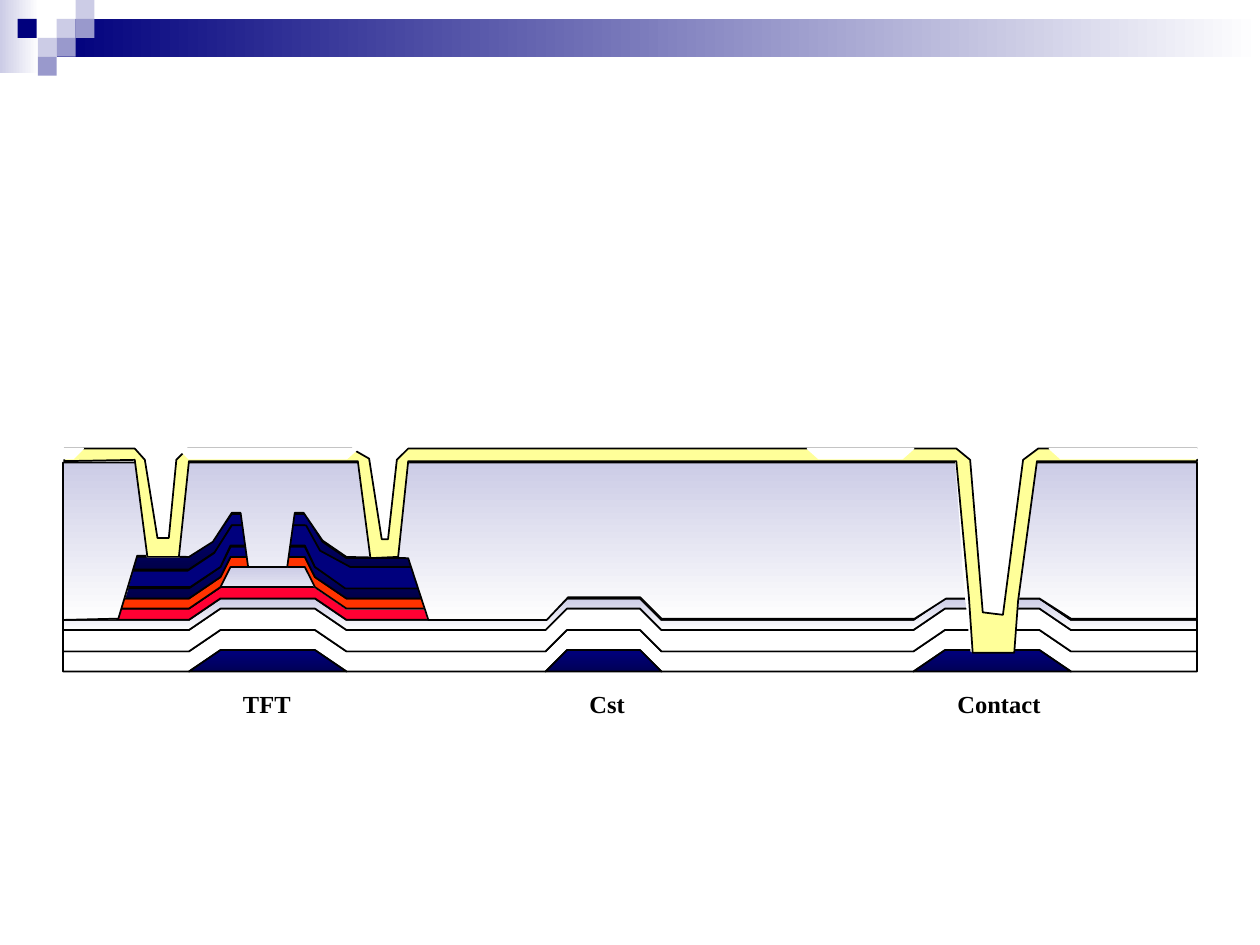
"""Build a slide with the cross-section of a TFT, storage capacitor and contact."""
from dataclasses import dataclass

from lxml import etree
from pptx import Presentation
from pptx.dml.color import RGBColor
from pptx.enum.shapes import MSO_CONNECTOR, MSO_SHAPE
from pptx.enum.text import MSO_AUTO_SIZE, MSO_VERTICAL_ANCHOR
from pptx.oxml.ns import qn
from pptx.util import Pt

PX = 9144
RECT = MSO_SHAPE.RECTANGLE
STRAIGHT = MSO_CONNECTOR.STRAIGHT
FIT = MSO_AUTO_SIZE.SHAPE_TO_FIT_TEXT
TOP = MSO_VERTICAL_ANCHOR.TOP
LEFTWARD, DOWNWARD = 180, 270
LEFT, RIGHT, BASE = 50, 950, 533

Point = tuple[int, int]
Fill = tuple[str, ...]


@dataclass(frozen=True)
class Theme:
    white: Fill = ("FFFFFF",)
    lilac: Fill = ("CCCCE6",)
    violet: Fill = ("9999CC",)
    navy: Fill = ("00007D",)
    red: Fill = ("FF0033",)
    orange: Fill = ("FF3300",)
    yellow: Fill = ("FFFF99",)
    glass: Fill = ("CCCCE6", "FEFEFE")
    metal: Fill = ("00007D", "00004A")
    gate: Fill = ("00007D", "000056")
    side: Fill = ("FFFFFF", "CCCCE6")
    band: Fill = ("FFFFFF", "00007D")
    ink: str = "000000"
    paper: str = "FFFFFF"
    font: str = "Times New Roman"
    label: float = 14
    space: float = 8.8
    line: float = 1


@dataclass(frozen=True)
class Block:
    x: int
    y: int
    w: int
    h: int
    fill: Fill


@dataclass(frozen=True)
class Layer:
    points: list[Point]
    fill: Fill
    line: str | None = Theme.ink


@dataclass(frozen=True)
class Label:
    text: str
    x: int
    w: int


T = Theme()
TFT = ((150, 0), (175, 17), (250, 17), (275, 0))
GATED_TFT = ((150, 0), (175, 17), (183, 33), (242, 33), (250, 17), (275, 0))
CST = ((433, 0), (450, 17), (508, 17), (525, 0))
CONTACT = ((725, 0), (750, 17), (825, 17), (850, 0))


def contour(y: int, tft: tuple[Point, ...]) -> list[Point]:
    steps = [(x, y - rise) for x, rise in tft + CST + CONTACT]
    return [(LEFT, y), *steps, (RIGHT, y)]


def film(top: int, bottom: int, fill: Fill, tft: tuple[Point, ...] = TFT) -> Layer:
    return Layer(contour(top, tft) + contour(bottom, tft)[::-1], fill)


def mask(*points: Point, line: str | None = T.paper) -> Layer:
    return Layer(list(points), T.white, line)


BLOCKS = [
    Block(0, 0, 31, 58, T.side),
    Block(45, 15, 955, 30, T.band),
    *(Block(x, y, 15, 15, fill) for x, y, fill in (
        (45, 15, T.lilac), (60, 0, T.lilac), (60, 15, T.violet), (30, 30, T.lilac),
        (14, 15, T.navy), (45, 30, T.violet), (30, 45, T.violet))),
]

CAP = Layer([
    (50, 452), (150, 452), (171, 438), (184, 417), (242, 417), (255, 439), (275, 450),
    (434, 450), (451, 433), (506, 433), (529, 450), (725, 449), (751, 434), (824, 435),
    (850, 449), (950, 449), (950, 442), (852, 442), (826, 426), (750, 425), (725, 443),
    (530, 443), (506, 425), (452, 425), (433, 443), (275, 443), (256, 430), (242, 408),
    (184, 408), (169, 429), (150, 442), (50, 442)], T.metal)
SOURCE_DRAIN = Layer([
    (50, 466), (50, 453), (149, 453), (170, 439), (184, 417), (243, 417), (254, 437),
    (278, 450), (433, 450), (450, 433), (508, 433), (533, 450), (724, 450), (750, 435),
    (825, 435), (851, 449), (950, 449), (950, 466), (851, 466), (825, 452), (750, 452),
    (724, 467), (530, 467), (506, 450), (451, 450), (433, 467), (274, 467), (250, 450),
    (242, 433), (183, 433), (175, 450), (151, 466)], T.navy)
PASSIVATION = Layer([
    (50, 492), (50, 367), (950, 367), (950, 491), (850, 491), (825, 475), (751, 475),
    (726, 491), (525, 491), (508, 474), (451, 474), (434, 492), (340, 492), (324, 443),
    (275, 442), (256, 429), (241, 407), (234, 407), (228, 450), (197, 450), (191, 407),
    (184, 407), (169, 430), (150, 442), (109, 441), (94, 491)], T.glass)
ELECTRODE = Layer([
    (51, 366), (51, 356), (107, 356), (115, 365), (125, 427), (134, 427), (140, 365),
    (149, 356), (279, 356), (293, 364), (303, 428), (308, 428), (315, 365), (324, 356),
    (759, 356), (770, 365), (780, 486), (796, 488), (812, 365), (824, 356), (950, 356),
    (950, 366), (823, 366), (808, 477), (805, 518), (772, 518), (769, 474), (759, 366),
    (324, 366), (316, 442), (294, 443), (284, 366), (150, 366), (142, 442), (117, 442),
    (107, 365)], T.yellow)

LAYERS = [
    CAP,
    film(517, 533, T.white),
    film(500, 517, T.white),
    film(492, 500, T.glass),
    film(483, 492, T.red),
    film(467, 483, T.glass),
    *(Layer([(x, BASE - rise) for x, rise in bump], T.gate) for bump in (TFT, CST, CONTACT)),
    mask((50, 465), (150, 465), (175, 448), (183, 448), (175, 465), (150, 481), (50, 481)),
    mask((242, 450), *contour(483, TFT)[3:], *contour(467, TFT)[:2:-1]),
    film(475, 483, T.orange, GATED_TFT),
    film(467, 475, T.metal, GATED_TFT),
    SOURCE_DRAIN,
    mask((99, 474), (108, 442), (50, 442), (50, 474)),
    mask((334, 474), (435, 474), (452, 457), (507, 457), (526, 474), (724, 474), (751, 457),
         (824, 457), (850, 474), (952, 474), (952, 440), (853, 440), (825, 423), (750, 423),
         (718, 439), (528, 439), (510, 414), (451, 414), (434, 431), (321, 431), line=None),
    mask((192, 408), (198, 450), (227, 450), (233, 408)),
    mask((92, 491), (101, 468), (48, 468), (48, 491)),
    mask((339, 491), (434, 491), (451, 474), (508, 474), (525, 491), (725, 491), (751, 474),
         (825, 474), (850, 491), (952, 491), (951, 457), (859, 457), (831, 440), (755, 440),
         (724, 456), (533, 456), (515, 431), (456, 431), (439, 448), (326, 448), line=None),
    PASSIVATION,
    mask((117, 442), (108, 358), (150, 358), (142, 442)),
    mask((325, 358), (315, 442), (294, 442), (283, 358)),
    mask((758, 358), (767, 478), (808, 478), (817, 358)),
    mask((764, 446), (771, 517), (804, 517), (811, 446)),
    ELECTRODE,
    mask((50, 364), (50, 356), (66, 356), (58, 364)),
    mask((150, 364), (142, 356), (284, 356), (275, 364)),
    mask((650, 364), (641, 356), (725, 356), (716, 364)),
    mask((842, 364), (833, 356), (950, 356), (950, 364)),
]

LABELS = [Label("TFT", 183, 58), Label("Cst", 458, 50), Label("Contact", 750, 92)]


def apply(target: object, fmt: dict[str, object]) -> None:
    for name, value in fmt.items():
        setattr(target, name, value)


def paint(sp, fill: Fill, angle: int, line: str | None) -> None:
    sp.shadow.inherit = False
    if len(fill) == 1:
        sp.fill.solid()
        sp.fill.fore_color.rgb = RGBColor.from_string(fill[0])
    else:
        sp.fill.gradient()
        sp.fill.gradient_angle = angle
        for stop, color in zip(sp.fill.gradient_stops, fill):
            stop.color.rgb = RGBColor.from_string(color)
    if line:
        sp.line.color.rgb = RGBColor.from_string(line)
        sp.line.width = Pt(T.line)
    else:
        sp.line.fill.background()


def draw_block(shapes, b: Block) -> None:
    sp = shapes.add_shape(RECT, *(v * PX for v in (b.x, b.y, b.w, b.h)))
    paint(sp, b.fill, LEFTWARD, None)


def draw_layer(shapes, layer: Layer) -> None:
    start, *rest = layer.points
    builder = shapes.build_freeform(*start, scale=PX)
    builder.add_line_segments(rest, close=True)
    paint(builder.convert_to_shape(), layer.fill, DOWNWARD, layer.line)


def draw_base(shapes) -> None:
    sp = shapes.add_connector(STRAIGHT, *(v * PX for v in (LEFT, BASE, RIGHT, BASE)))
    sp.line.color.rgb = RGBColor.from_string(T.ink)
    sp.line.width = Pt(T.line)
    etree.SubElement(sp._element.spPr, qn("a:effectLst"))


def draw_label(shapes, label: Label) -> None:
    tf = shapes.add_textbox(*(v * PX for v in (label.x, 542, label.w, 33))).text_frame
    apply(tf, {"word_wrap": False, "auto_size": FIT, "vertical_anchor": TOP})
    p = tf.paragraphs[0]
    p.space_before = Pt(T.space)
    r = p.add_run()
    r.text = label.text
    apply(r.font, {"name": T.font, "size": Pt(T.label), "bold": True})
    r.font.color.rgb = RGBColor.from_string(T.ink)


def main() -> None:
    prs = Presentation()
    apply(prs, {"slide_width": 1000 * PX, "slide_height": 750 * PX})
    shapes = prs.slides.add_slide(prs.slide_layouts[6]).shapes
    for block in BLOCKS:
        draw_block(shapes, block)
    for layer in LAYERS:
        draw_layer(shapes, layer)
    draw_base(shapes)
    for label in LABELS:
        draw_label(shapes, label)
    prs.save("out.pptx")


if __name__ == "__main__":
    main()
